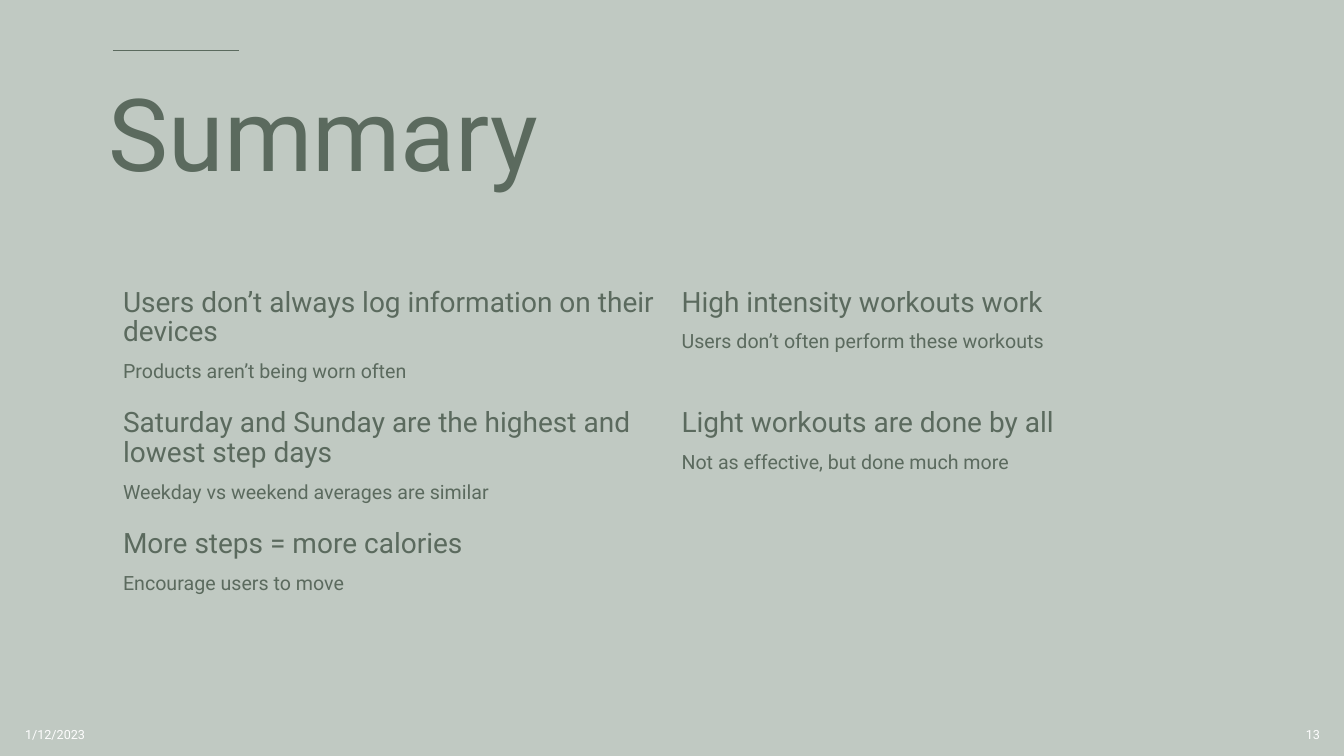
import dataclasses

import lxml.etree
import pptx
import pptx.dml.color
import pptx.enum.shapes
import pptx.enum.text
import pptx.oxml.ns
import pptx.util

Inches = pptx.util.Inches
Pt = pptx.util.Pt
ALIGN = pptx.enum.text.PP_ALIGN
MIDDLE = pptx.enum.text.MSO_ANCHOR.MIDDLE


@dataclasses.dataclass(frozen=True)
class Theme:
    """Colours, font and type sizes of the slide."""
    font: str = "Roboto"
    background: str = "C0C9C2"
    ink: str = "5B6A5E"
    footer_ink: str = "FFFFFF"
    title_size: int = 72
    heading_size: int = 20
    detail_size: int = 14
    footer_size: int = 9
    plain_table: str = "{2D5ABB26-0587-4C30-8999-92F81FD0307C}"


THEME = Theme()
FINDINGS = [
    [("Users don’t always log information on their devices", "Products aren’t being worn often"),
     ("High intensity workouts work", "Users don’t often perform these workouts")],
    [("Saturday and Sunday are the highest and lowest step days", "Weekday vs weekend averages are similar"),
     ("Light workouts are done by all", "Not as effective, but done much more")],
    [("More steps = more calories", "Encourage users to move")],
]


def colour(code):
    """Return the colour for a hex code."""
    return pptx.dml.color.RGBColor.from_string(code)


def apply_format(target, values):
    """Set each named attribute on the target."""
    for name, value in values.items():
        setattr(target, name, value)


def write_text(para, text, size, ink, **layout):
    """Write one styled span into a paragraph."""
    apply_format(para, layout)
    span = para.add_run()
    span.text = text
    apply_format(span.font, {"name": THEME.font, "size": Pt(size)})
    span.font.color.rgb = colour(ink)


def add_accent_line(page, left, top, width):
    """Draw the short rule above the title."""
    line = page.shapes.add_connector(
        pptx.enum.shapes.MSO_CONNECTOR.STRAIGHT,
        Inches(left), Inches(top), Inches(left + width), Inches(top))
    line.line.color.rgb = colour(THEME.ink)
    line.line.width = Pt(1.25)
    properties = line._element.spPr
    lxml.etree.SubElement(properties, pptx.oxml.ns.qn("a:effectLst"))


def add_title(page, left, top, width, height, text):
    """Place and fill the title placeholder."""
    title = page.shapes.title
    apply_format(title, {"left": Inches(left), "top": Inches(top),
                         "width": Inches(width), "height": Inches(height)})
    apply_format(title.text_frame, {"vertical_anchor": MIDDLE, "word_wrap": True,
                                    "auto_size": pptx.enum.text.MSO_AUTO_SIZE.NONE})
    write_text(title.text_frame.paragraphs[0], text, THEME.title_size, THEME.ink,
               alignment=ALIGN.LEFT, line_spacing=0.9)


def add_findings(page, left, top, width, height, findings):
    """Lay out the findings as a plain table of headings and details."""
    frame = page.shapes.add_table(len(findings), len(findings[0]), Inches(left), Inches(top),
                                  Inches(width), Inches(height))
    table = frame.table
    apply_format(table, {"first_row": False, "horz_banding": False})
    table._tbl.tblPr.find(pptx.oxml.ns.qn("a:tableStyleId")).text = THEME.plain_table
    for cell in table.iter_cells():
        cell.fill.background()
    spacing = {"line_spacing": 0.9, "space_before": Pt(10)}
    for row, entries in enumerate(findings):
        for column, (heading, detail) in enumerate(entries):
            text_frame = table.cell(row, column).text_frame
            write_text(text_frame.paragraphs[0], heading, THEME.heading_size, THEME.ink, **spacing)
            write_text(text_frame.add_paragraph(), detail, THEME.detail_size, THEME.ink, **spacing)


def add_footer(page, left, top, width, height, entries):
    """Set the footer texts at the two ends of the given strip."""
    box_width = 3
    offsets = (0, width - box_width)
    for offset, (text, alignment) in zip(offsets, entries):
        box = page.shapes.add_textbox(Inches(left + offset), Inches(top),
                                      Inches(box_width), Inches(height))
        apply_format(box.text_frame, {"word_wrap": True, "vertical_anchor": MIDDLE})
        write_text(box.text_frame.paragraphs[0], text, THEME.footer_size, THEME.footer_ink,
                   alignment=alignment)


def build_summary(deck):
    """Build the summary slide."""
    page = deck.slides.add_slide(deck.slide_layouts.get_by_name("Title Only"))
    page.background.fill.solid()
    page.background.fill.fore_color.rgb = colour(THEME.background)
    add_accent_line(page, 1.12, 0.5, 1.25)
    add_title(page, 0.98, 0.63, 11.11, 1.5, "Summary")
    add_findings(page, 1.12, 2.81, 11.08, 3.6, FINDINGS)
    add_footer(page, 0.15, 7.09, 13.04, 0.4, [("1/12/2023", ALIGN.LEFT), ("13", ALIGN.RIGHT)])


def main():
    """Create and save the deck."""
    deck = pptx.Presentation()
    apply_format(deck, {"slide_width": Inches(13.33), "slide_height": Inches(7.5)})
    build_summary(deck)
    deck.save("out.pptx")


if __name__ == "__main__":
    main()
